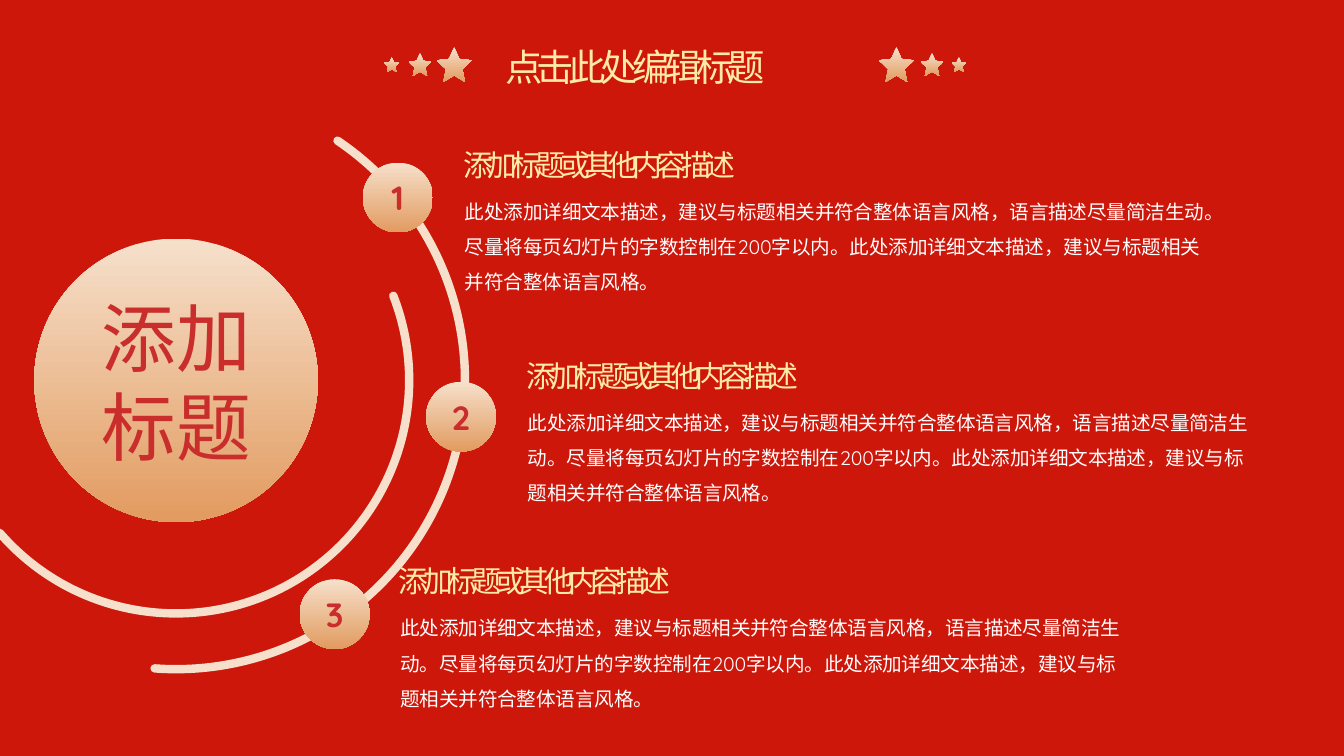
from lxml import etree
from pptx import Presentation
from pptx import util as u
from pptx.dml import color
from pptx.enum import shapes, text
from pptx.oxml import ns

CJK, LATIN = "Noto Sans CJK SC", "Quicksand"
RED, INK, CREAM, COPPER, GOLD, WHITE = "CD170A", "C92E2C", "F6E0CB", "E29B60", "FEEBA5", "FFFFFF"
ALIGN = text.PP_ALIGN

HEADING = "添加标题或其他内容描述"
BODY = (
    "此处添加详细文本描述，建议与标题相关并符合整体语言风格，语言描述尽量简洁生动。"
    "尽量将每页幻灯片的字数控制在200字以内。此处添加详细文本描述，"
    "建议与标题相关并符合整体语言风格。"
)
ITEMS = [
    ((3.35, 1.04, 5.72), (2.7, 1.21)),
    ((3.82, 2.61, 5.65), (3.17, 2.84)),
    ((2.87, 4.14, 5.65), (2.23, 4.31)),
]

BADGE_STYLE = {"size": 18, "name": LATIN, "fill": INK, "bold": True, "alignment": ALIGN.CENTER}
BODY_STYLE = {"size": 10.5, "name": LATIN, "fill": WHITE, "line_spacing": 1.5}
HEADING_STYLE = {"size": 16, "name": CJK, "fill": (GOLD, COPPER), "spacing": -3, "alignment": ALIGN.JUSTIFY}
TITLE_STYLE = {**HEADING_STYLE, "size": 20}
HUB_STYLE = {"size": 40, "name": CJK, "fill": INK}


def rgb(value):
    """Turn a hex string into a colour."""
    return color.RGBColor.from_string(value)


def paint(fill, colours):
    """Fill with one colour, or with a top-to-bottom gradient of two."""
    if isinstance(colours, str):
        fill.solid()
        fill.fore_color.rgb = rgb(colours)
        return
    fill.gradient()
    fill.gradient_angle = 270
    for stop, value in zip(fill.gradient_stops, colours):
        stop.color.rgb = rgb(value)


def write(frame, lines, style):
    """Write styled paragraphs into a text frame."""
    frame.word_wrap = True
    for index, line in enumerate(lines):
        paragraph = frame.add_paragraph() if index else frame.paragraphs[0]
        run = paragraph.add_run()
        run.text = line
        for key, value in style.items():
            if key in ("alignment", "line_spacing"):
                setattr(paragraph, key, value)
            elif key == "fill":
                paint(run.font.fill, value)
            elif key == "spacing":
                run.font._element.set("spc", str(value * 100))
            else:
                setattr(run.font, key, u.Pt(value) if key == "size" else value)
        etree.SubElement(run.font._element, ns.qn("a:ea"), typeface=CJK)


def add_text(slide, box, lines, style):
    """Add a text box that grows with its text."""
    frame = slide.shapes.add_textbox(*map(u.Inches, box)).text_frame
    write(frame, lines, style)
    frame.auto_size = text.MSO_AUTO_SIZE.SHAPE_TO_FIT_TEXT


def add_gold_shape(container, kind, left, top, size):
    """Add a square preset shape with the cream-to-copper gradient."""
    shape = container.add_shape(kind, *map(u.Inches, (left, top, size, size)))
    shape.shadow.inherit = False
    paint(shape.fill, (CREAM, COPPER))
    shape.line.fill.background()
    return shape


def add_stars(slide, left, top, stars):
    """Group stars of given offset and size, centred on one row."""
    group = slide.shapes.add_group_shape()
    for offset, size in stars:
        star = add_gold_shape(
            group.shapes, shapes.MSO_SHAPE.STAR_5_POINT, left + offset, top + 0.13 - size / 2, size
        )
        star.adjustments[0] = 0.236


def add_header(slide, left, top):
    """Add the slide title between two rows of stars."""
    add_stars(slide, left, top + 0.07, [(0.39, 0.26), (0.18, 0.17), (0, 0.11)])
    add_stars(slide, left + 3.68, top + 0.07, [(0, 0.26), (0.31, 0.17), (0.54, 0.11)])
    add_text(slide, (left + 0.8, top, 2.68, 0.44), ["点击此处编辑标题"], TITLE_STYLE)


def add_arc(slide, centre_x, centre_y, diameter, start, end):
    """Add a round-capped arc between two angles in degrees."""
    left, top = centre_x - diameter / 2, centre_y - diameter / 2
    arc = slide.shapes.add_shape(
        shapes.MSO_SHAPE.ARC, *map(u.Inches, (left, top, diameter, diameter))
    )
    arc.shadow.inherit = False
    arc.fill.background()
    for index, angle in enumerate((start, end)):
        arc.adjustments[index] = angle * 0.6
    paint(arc.line.fill, CREAM)
    arc.line.width = u.Pt(4.5)
    arc.line._get_or_add_ln().set("cap", "rnd")


def add_hub(slide, centre_x, centre_y):
    """Add the large disc with its label and the two arcs around it."""
    size = 2.11
    add_gold_shape(
        slide.shapes, shapes.MSO_SHAPE.OVAL, centre_x - size / 2, centre_y - size / 2, size
    )
    add_arc(slide, centre_x, centre_y, 4.3, 303.98, 94.24)
    add_arc(slide, centre_x, centre_y, 3.47, 338.75, 139.12)
    add_text(slide, (centre_x - 0.65, centre_y - 0.71, 1.42, 1.45), ["添加", "标题"], HUB_STYLE)


def add_item(slide, number, box, badge_position):
    """Add a numbered badge with its heading and description."""
    left, top, width = box
    badge = add_gold_shape(slide.shapes, shapes.MSO_SHAPE.OVAL, *badge_position, 0.52)
    badge.text_frame.vertical_anchor = text.MSO_ANCHOR.MIDDLE
    write(badge.text_frame, [str(number)], BADGE_STYLE)
    add_text(slide, (left + 0.01, top + 0.31, width, 0.9), [BODY], BODY_STYLE)
    add_text(slide, (left, top, 2.78, 0.37), [HEADING], HEADING_STYLE)


def main():
    """Build and save the presentation."""
    presentation = Presentation()
    presentation.slide_width = u.Inches(10)
    presentation.slide_height = presentation.slide_width * 9 // 16
    slide = presentation.slides.add_slide(presentation.slide_layouts[6])
    paint(slide.background.fill, RED)
    add_header(slide, 2.86, 0.28)
    add_hub(slide, 1.31, 2.83)
    for number, (box, badge_position) in enumerate(ITEMS, 1):
        add_item(slide, number, box, badge_position)
    presentation.save("out.pptx")


if __name__ == "__main__":
    main()
